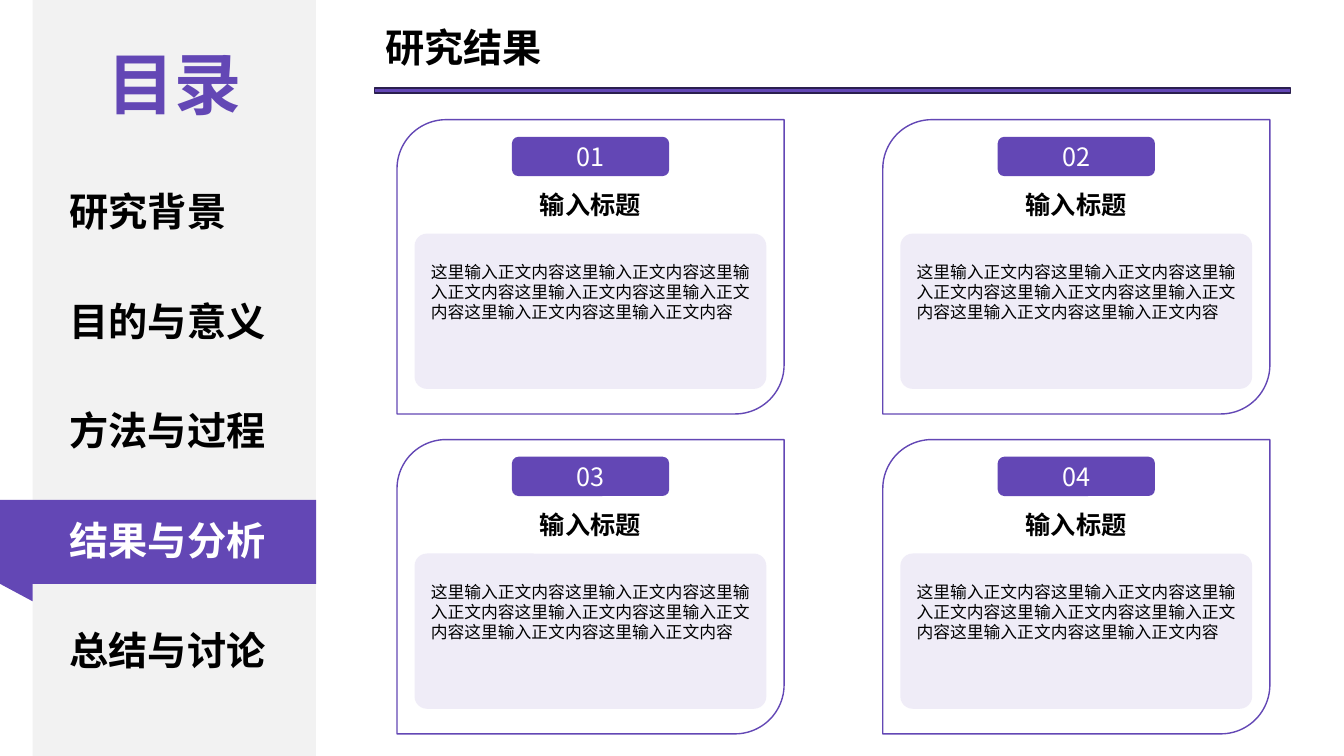
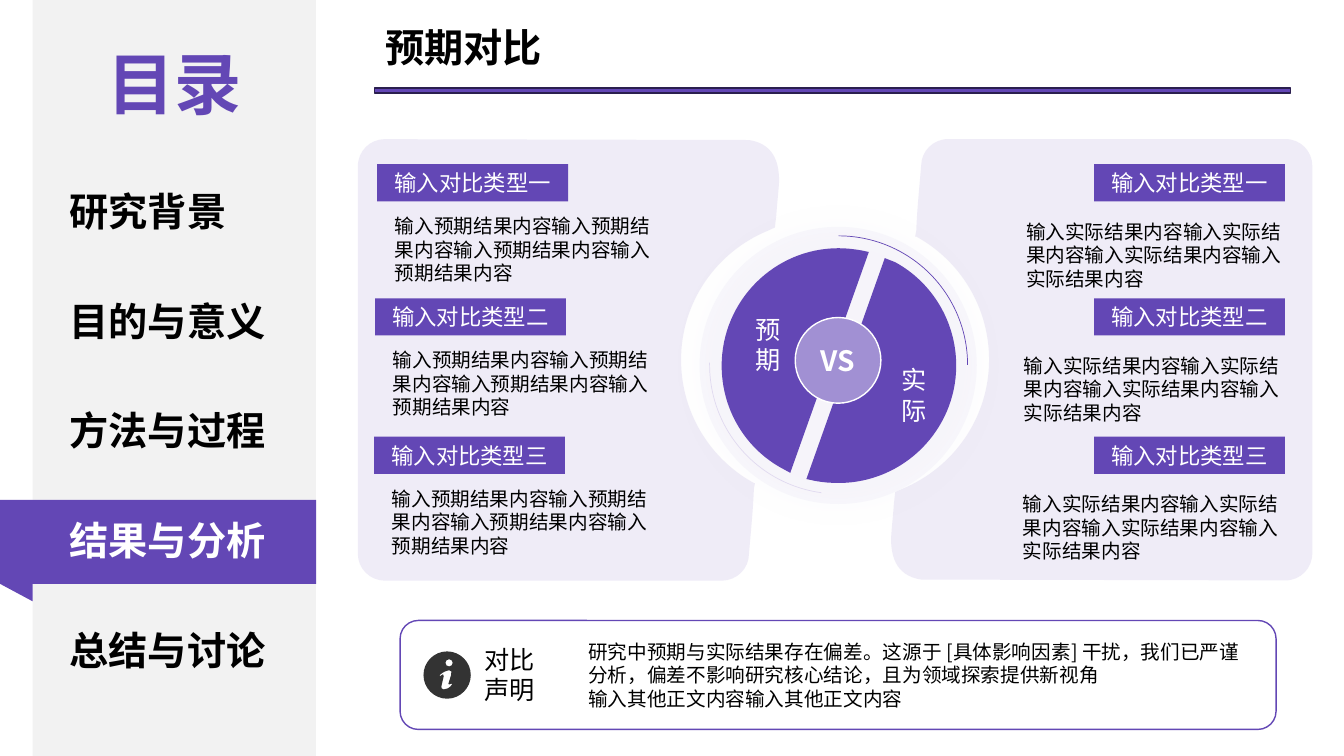
from dataclasses import dataclass
from itertools import chain, product
from typing import NamedTuple

from lxml.etree import Element, SubElement
from pptx import Presentation
from pptx.dml.color import RGBColor
from pptx.enum.shapes import MSO_SHAPE as Preset
from pptx.enum.text import MSO_ANCHOR as Anchor, PP_ALIGN as Align
from pptx.oxml.ns import qn
from pptx.util import Pt


@dataclass(frozen=True)
class Theme:
    purple: str = "6347B5"
    lilac: str = "E0DAF0"
    violet: str = "A190D3"
    edge: str = "2B1F4F"
    sidebar: str = "F2F2F2"
    black: str = "000000"
    white: str = "FFFFFF"
    charcoal: str = "333333"
    font: str = "Noto Sans CJK SC"
    contents: float = 48
    heading: float = 28
    versus: float = 20
    label: float = 18
    tag: float = 16
    text: float = 14
    small: float = 12


THEME = Theme()


class Box(NamedTuple):
    left: float
    top: float
    width: float
    height: float

    def moved(self, right: float, down: float) -> "Box":
        return Box(self.left + right, self.top + down, self.width, self.height)


class Style(NamedTuple):
    size: float
    color: str = THEME.black
    bold: bool = False
    align: Align = Align.LEFT


class Row(NamedTuple):
    label: str
    top: float
    shift: float


class Side(NamedTuple):
    body: str
    tag_left: float
    body_left: float
    body_drop: float
    tag_shifts: bool


SECTIONS = ("研究背景", "目的与意义", "方法与过程", "结果与分析", "总结与讨论")
CURRENT = "结果与分析"
HEADING = Style(THEME.heading, bold=True)
LABEL = Style(THEME.label, THEME.white, align=Align.CENTER)
ROWS = (
    Row("输入对比类型一", 117.3, 0),
    Row("输入对比类型二", 213.1, 1.5),
    Row("输入对比类型三", 311.9, 2.2),
)
SIDES = (
    Side("输入预期结果内容" * 4, 269.5, 275, 32, True),
    Side("输入实际结果内容" * 4, 781.5, 725.8, 36, False),
)
PANEL = (
    "M 275 99.4 L 535 100 C 554.5 103 556.5 119 556.5 129.5 "
    "C 556 138 555 146 554.5 154 L 553.5 162.5 L 548 165 "
    "C 512 180 486.5 215.5 486.5 257 C 486.5 295 507.5 328 538.5 345 "
    "L 539.3 345 L 538.5 349 C 538 363 536.5 378 535 395.5 "
    "C 535 406 526.5 414.7 515.5 414.7 L 275 414.7 "
    "C 264 414.7 255.6 406 255.6 395.5 L 255.6 119 "
    "C 255.6 108 264 99.4 275 99.4"
)
PANEL_CENTER = (596.5, 257)
DISC_HALVES = (
    "M 599 177.3 C 605 177.3 610.5 178 616 179 L 620.6 180 L 564.5 337.7 "
    "L 559.5 335 C 533 321 515.5 293 515.5 261.2 "
    "C 515.5 215 553 177.3 599 177.3",
    "M 632 184.4 L 639.4 187.3 C 665.5 201.5 683 229.5 683 261.2 "
    "C 683 307 645.5 345 599 345 C 593.3 345 588 344.6 582.5 343.6 "
    "L 576 342.2 L 632 184.4",
)
INFO_STEM = (
    "M 317 492.5 C 315.4 492.5 315 491.5 315.6 489 L 317 483 "
    "C 317 482 317 481.7 316.5 481.7 C 316 481.7 315.4 482.4 314.6 483 "
    "L 314 482.3 C 316 480.2 319.5 478.8 321 478.8 "
    "C 322.5 478.8 322.8 480 322.3 482 L 320.3 488.5 "
    "C 320.3 489.3 321.5 489 322.5 488.3 L 323 489 "
    "C 321 491.5 319 492.5 317 492.5"
)


def rgb(color: str) -> RGBColor:
    return RGBColor.from_string(color)


def paint(shape, fill: str | None, line: str | None = None,
          weight: float = 1, opacity: int = 100) -> None:
    shape.shadow.inherit = False
    if fill:
        shape.fill.solid()
        shape.fill.fore_color.rgb = rgb(fill)
        if opacity < 100:
            tint = shape.fill._xPr.find(qn("a:solidFill"))[0]
            SubElement(tint, qn("a:alpha"), val=str(opacity * 1000))
    else:
        shape.fill.background()
    if line:
        shape.line.color.rgb = rgb(line)
        shape.line.width = Pt(weight)
    else:
        shape.line.fill.background()


def add_glow(shape, color: str, opacity: int, blur: float) -> None:
    effects = shape._element.spPr.find(qn("a:effectLst"))
    shadow = SubElement(effects, qn("a:outerShdw"), blurRad=str(Pt(blur)),
                        dist="0", dir="0", algn="ctr", rotWithShape="0")
    tint = SubElement(shadow, qn("a:srgbClr"), val=color)
    SubElement(tint, qn("a:alpha"), val=str(opacity * 1000))


def write(shape, style: Style, *paragraphs: str) -> None:
    frame = shape.text_frame
    frame.word_wrap = True
    for index, content in enumerate(paragraphs):
        para = frame.add_paragraph() if index else frame.paragraphs[0]
        para.alignment = style.align
        span = para.add_run()
        span.text = content
        font = span.font
        font.size, font.bold, font.name = Pt(style.size), style.bold, THEME.font
        font.color.rgb = rgb(style.color)
        SubElement(span._r.get_or_add_rPr(), qn("a:ea"), typeface=THEME.font)


def add_text(page, box: Box, style: Style, *paragraphs: str) -> None:
    write(page.shapes.add_textbox(*map(Pt, box)), style, *paragraphs)


def add_preset(page, preset: Preset, box: Box, fill: str | None,
               line: str | None = None, weight: float = 1, opacity: int = 100):
    shape = page.shapes.add_shape(preset, *map(Pt, box))
    paint(shape, fill, line, weight, opacity)
    return shape


def add_label(page, preset: Preset, box: Box, style: Style, content: str,
              fill: str = THEME.purple, line: str | None = None) -> None:
    shape = add_preset(page, preset, box, fill, line)
    shape.text_frame.vertical_anchor = Anchor.MIDDLE
    write(shape, style, content)


def read_segments(outline: str) -> list[list[tuple[float, float]]]:
    """Split one contour into its start, lines (one point) and curves (three)."""
    segments = []
    for command in outline.replace("M", "L").replace("C", "L").split("L")[1:]:
        values = [float(value) for value in command.split()]
        segments.append(list(zip(values[::2], values[1::2])))
    return segments


def circle(x: float, y: float, r: float) -> str:
    k = 0.55 * r
    return (f"M {x} {y - r} C {x + k} {y - r} {x + r} {y - k} {x + r} {y} "
            f"C {x + r} {y + k} {x + k} {y + r} {x} {y + r} "
            f"C {x - k} {y + r} {x - r} {y + k} {x - r} {y} "
            f"C {x - r} {y - k} {x - k} {y - r} {x} {y - r}")


def half_turn(contour: list, center: tuple[float, float]) -> list:
    return [[(2 * center[0] - x, 2 * center[1] - y) for x, y in segment]
            for segment in contour]


def add_outline(page, contours: list, fill: str, opacity: int = 100) -> None:
    builder = None
    for contour in contours:
        start, *ends = [tuple(map(Pt, segment[-1])) for segment in contour]
        if builder is None:
            builder = page.shapes.build_freeform(*start)
        else:
            builder.move_to(*start)
        builder.add_line_segments(ends, close=True)
    shape = builder.convert_to_shape()
    bend_lines(shape, chain.from_iterable(contour[1:] for contour in contours))
    paint(shape, fill, opacity=opacity)


def bend_lines(shape, segments) -> None:
    """Replace the straight lines that stand for curves by cubic curves."""
    lines = list(shape._element.spPr.iter(qn("a:lnTo")))
    for line, segment in zip(lines, segments):
        if len(segment) == 3:
            curve = Element(qn("a:cubicBezTo"))
            for x, y in segment:
                SubElement(curve, qn("a:pt"), x=str(Pt(x) - shape.left),
                           y=str(Pt(y) - shape.top))
            line.getparent().replace(line, curve)


def add_page(deck, title: str):
    """Add a slide with the contents sidebar, title and rule."""
    page = deck.slides.add_slide(deck.slide_layouts[6])
    add_preset(page, Preset.RECTANGLE, Box(23.3, 0, 202.4, 540), THEME.sidebar)
    add_preset(page, Preset.RECTANGLE, Box(0, 357, 225.8, 60), THEME.purple)
    fold = add_preset(page, Preset.RIGHT_TRIANGLE, Box(0, 417, 23.3, 12.5), THEME.purple)
    fold.rotation = 180
    add_text(page, Box(55, 26.8, 139.7, 65.5),
             Style(THEME.contents, THEME.purple, True, Align.CENTER), "目录")
    for index, section in enumerate(SECTIONS):
        color = THEME.white if section == CURRENT else THEME.black
        add_text(page, Box(42.7, 130.3 + 78.3 * index, 159.1, 41),
                 HEADING._replace(color=color), section)
    add_preset(page, Preset.RECTANGLE, Box(267.5, 62.8, 654.5, 3.8),
               THEME.purple, THEME.edge)
    add_text(page, Box(268, 13, 355, 41), HEADING, title)
    return page


def add_card(page, left: float, top: float, number: int) -> None:
    panel = add_preset(page, Preset.ROUNDED_RECTANGLE,
                       Box(12.5, 81.4, 251.3, 110.9).moved(left, top),
                       THEME.lilac, opacity=50)
    panel.adjustments[0] = 0.08
    add_label(page, Preset.ROUNDED_RECTANGLE,
              Box(82.1, 12.2, 112.3, 28.1).moved(left, top), LABEL, f"{number:02}")
    add_preset(page, Preset.ROUND_2_DIAG_RECTANGLE,
               Box(0, 0, 276.5, 210.2).moved(left, top), None, THEME.purple)
    add_text(page, Box(63.6, 46.2, 149, 29).moved(left, top),
             Style(THEME.label, bold=True, align=Align.CENTER), "输入标题")
    add_text(page, Box(17, 97.8, 243, 80).moved(left, top),
             Style(THEME.small), "这里输入正文内容" * 7)


def add_versus_disc(page) -> None:
    halo = add_preset(page, Preset.OVAL, Box(499.7, 162, 198, 198),
                      THEME.lilac, opacity=20)
    add_glow(halo, THEME.lilac, 40, 20)
    for half in DISC_HALVES:
        add_outline(page, [read_segments(half)], THEME.purple)
    add_label(page, Preset.OVAL, Box(568, 226.8, 61.2, 61.2),
              Style(THEME.versus, THEME.white, True, Align.CENTER),
              "VS", THEME.violet, THEME.white)
    ring = Box(506.9, 168.5, 184.3, 184.3)
    add_preset(page, Preset.ARC, ring, None, THEME.purple, 0.5)
    lower_arc = add_preset(page, Preset.ARC, ring, None, THEME.lilac, 0.5)
    lower_arc.adjustments[0], lower_arc.adjustments[1] = 58.62, 108.59
    add_text(page, Box(532.8, 221, 26.6, 51), LABEL, "预期")
    add_text(page, Box(637.2, 257, 26.6, 51), LABEL, "实际")


def add_statement(page) -> None:
    add_preset(page, Preset.ROUNDED_RECTANGLE, Box(285.8, 443.2, 625.7, 77.8),
               None, THEME.purple)
    add_text(page, Box(339, 456.5, 57, 51), Style(THEME.label), "对比声明")
    add_text(page, Box(413.1, 453.5, 481, 58.3), Style(THEME.text),
             "研究中预期与实际结果存在偏差。这源于 [具体影响因素] 干扰，"
             "我们已严谨分析，偏差不影响研究核心结论，且为领域探索提供新视角",
             "输入其他正文内容输入其他正文内容")
    icon = (circle(319.4, 482.2, 16.9), circle(320.8, 473.5, 2.6), INFO_STEM)
    add_outline(page, [read_segments(contour) for contour in icon], THEME.charcoal)


def build_results(deck) -> None:
    page = add_page(deck, "研究结果")
    for number, (row, column) in enumerate(product(range(2), repeat=2), 1):
        add_card(page, 283.6 + 347 * column, 85.5 + 228.5 * row, number)


def build_comparison(deck) -> None:
    page = add_page(deck, "预期对比")
    add_versus_disc(page)
    panel = read_segments(PANEL)
    for contour in (panel, half_turn(panel, PANEL_CENTER)):
        add_outline(page, [contour], THEME.lilac, 50)
    for side, row in product(SIDES, ROWS):
        tag_left = side.tag_left - row.shift * side.tag_shifts
        add_label(page, Preset.RECTANGLE, Box(tag_left, row.top, 136.3, 26.6),
                  Style(THEME.tag, THEME.white, align=Align.CENTER), row.label)
        add_text(page, Box(side.body_left - row.shift, row.top + side.body_drop, 208.8, 58.3),
                 Style(THEME.text), side.body)
    add_statement(page)


def main() -> None:
    deck = Presentation()
    deck.slide_width, deck.slide_height = Pt(960), Pt(540)
    build_results(deck)
    build_comparison(deck)
    deck.save("out.pptx")


if __name__ == "__main__":
    main()
